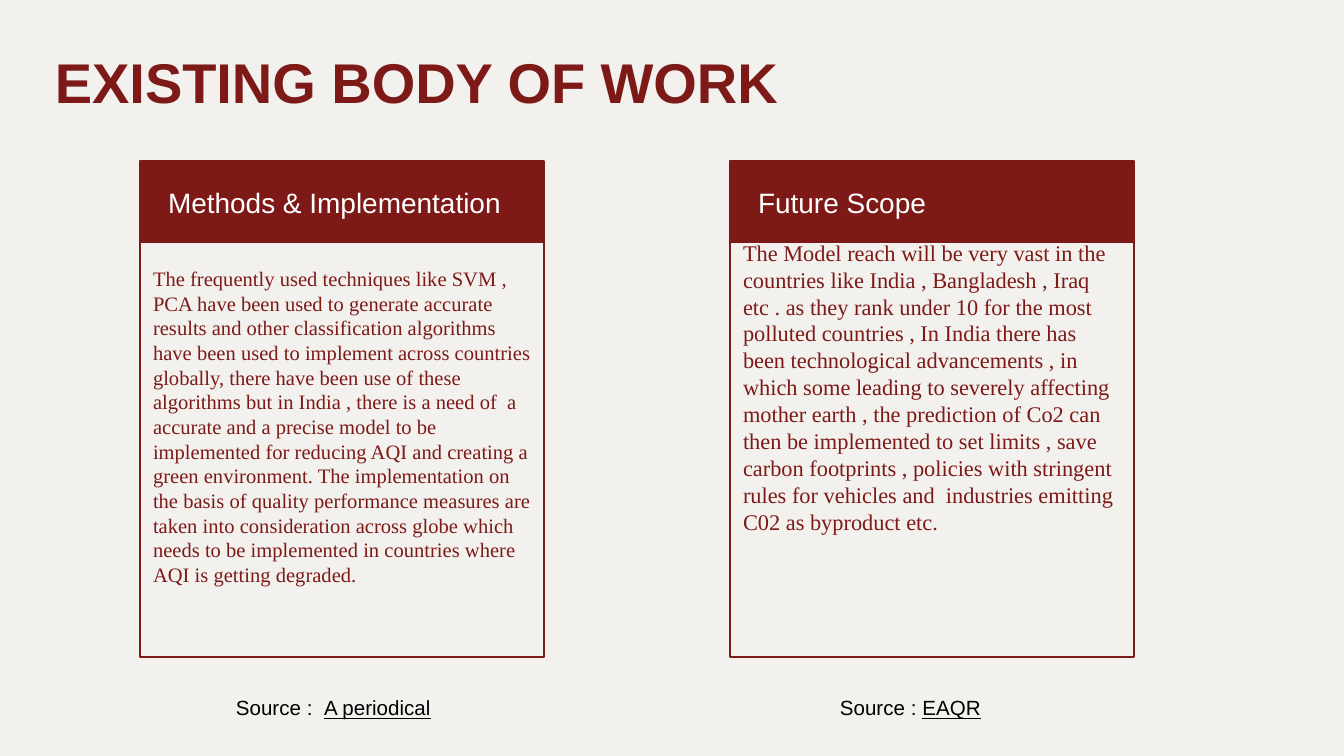
import pptx
import pptx.util
import pptx.dml.color
import pptx.enum.shapes
import pptx.enum.text

PX = 914400 / 134.4
COLORS = {"background": "F2F1EE", "maroon": "7D1916", "white": "FFFFFF", "black": "000000"}
SANS, SERIF = "Arial", "Times New Roman"
ANCHOR = pptx.enum.text.MSO_ANCHOR

TITLE = "EXISTING BODY OF WORK"
CARDS = [
    {
        "heading": "Methods & Implementation",
        "body": "The frequently used techniques like SVM , PCA have been used to generate "
                "accurate results and other classification algorithms have been used to "
                "implement across countries globally, there have been use of these algorithms "
                "but in India , there is a need of  a accurate and a precise model to be "
                "implemented for reducing AQI and creating a green environment. The "
                "implementation on the basis of quality performance measures are taken into "
                "consideration across globe which needs to be implemented in countries where "
                "AQI is getting degraded.",
        "size": 11, "body_top": 105,
        "source": ("Source :  ", "A periodical"), "source_left": 223, "source_width": 312,
    },
    {
        "heading": "Future Scope",
        "body": "The Model reach will be very vast in the countries like India , Bangladesh , "
                "Iraq etc . as they rank under 10 for the most polluted countries , In India "
                "there has been technological advancements , in which some leading to severely "
                "affecting mother earth , the prediction of Co2 can then be implemented to set "
                "limits , save carbon footprints , policies with stringent rules for vehicles "
                "and  industries emitting C02 as byproduct etc.",
        "size": 12, "body_top": 78,
        "source": ("Source : ", "EAQR"), "source_left": 827, "source_width": 218,
    },
]
CARD_LEFT, CARD_STEP, CARD_TOP = 140, 590, 161
CARD_W, CARD_H, HEADER_H = 404, 496, 82


def px(n):
    return pptx.util.Emu(round(n * PX))


def rgb(name):
    return pptx.dml.color.RGBColor.from_string(COLORS[name])


def add_rect(s, x, y, w, h, fill=None, line=None):
    sp = s.shapes.add_shape(pptx.enum.shapes.MSO_SHAPE.RECTANGLE, px(x), px(y), px(w), px(h))
    sp.shadow.inherit = False
    if fill:
        sp.fill.solid()
        sp.fill.fore_color.rgb = rgb(fill)
    else:
        sp.fill.background()
    if line:
        sp.line.color.rgb = rgb(line)
        sp.line.width = pptx.util.Pt(0.75)
    else:
        sp.line.fill.background()
    return sp


def add_box(s, x, y, w, h):
    return s.shapes.add_textbox(px(x), px(y), px(w), px(h))


def write(sp, text, size, color, font=SANS, bold=False, anchor=ANCHOR.TOP,
          insets=(13, 13, 13, 13), spacing=None, underlined=""):
    tf = sp.text_frame
    tf.word_wrap = True
    tf.vertical_anchor = anchor
    tf.margin_left, tf.margin_top, tf.margin_right, tf.margin_bottom = map(px, insets)
    p = tf.paragraphs[0]
    p.alignment = pptx.enum.text.PP_ALIGN.LEFT
    if spacing:
        p.line_spacing = spacing
    for part, underline in ((text, False), (underlined, True)):
        if part:
            r = p.add_run()
            r.text = part
            r.font.name = font
            r.font.size = pptx.util.Pt(size)
            r.font.bold = bold
            r.font.underline = underline
            r.font.color.rgb = rgb(color)


prs = pptx.Presentation()
prs.slide_width, prs.slide_height = px(1344), px(756)
s = prs.slides.add_slide(prs.slide_layouts[6])
s.background.fill.solid()
s.background.fill.fore_color.rgb = rgb("background")

# Title
write(add_box(s, 46, 36, 1253, 85), TITLE, 30, "maroon", bold=True,
      anchor=ANCHOR.BOTTOM, insets=(9, 5, 9, 5), spacing=0.9)

for i, card in enumerate(CARDS):
    x = CARD_LEFT + i * CARD_STEP

    # Outlined panel with body text
    panel = add_rect(s, x, CARD_TOP, CARD_W, CARD_H, line="maroon")
    write(panel, card["body"], card["size"], "maroon", font=SERIF,
          insets=(13, card["body_top"], 13, 13),
          spacing=pptx.util.Pt(1.2 * card["size"]))

    # Header band and heading
    add_rect(s, x, CARD_TOP, CARD_W, HEADER_H, fill="maroon")
    write(add_box(s, x + 15, CARD_TOP + 16, 435, 51), card["heading"], 15, "white",
          anchor=ANCHOR.MIDDLE)

    # Source line
    label, name = card["source"]
    write(add_box(s, card["source_left"], 683, card["source_width"], 52), label, 11, "black",
          underlined=name)

prs.save("out.pptx")
